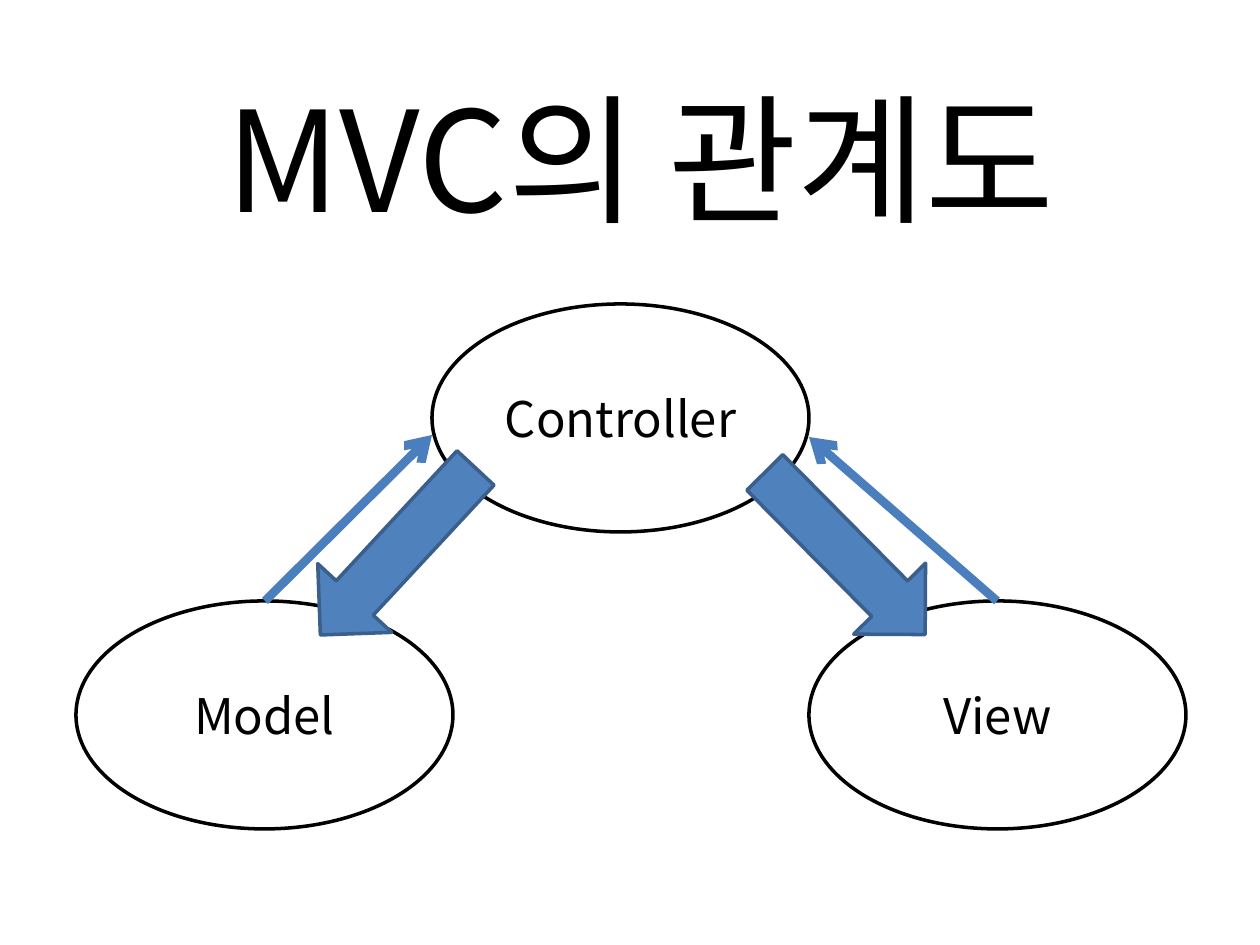
from pptx import Presentation
from pptx.dml.color import RGBColor
from pptx.enum.shapes import MSO_CONNECTOR, MSO_SHAPE
from pptx.enum.text import MSO_ANCHOR, PP_ALIGN
from pptx.oxml.ns import qn
from pptx.util import Pt
from lxml import etree

FONT = "Noto Sans CJK KR"


def px(n):
    return round(n * 914400 / 126)


def add_text(sp, text, size):
    tf = sp.text_frame
    tf.word_wrap = True
    tf.vertical_anchor = MSO_ANCHOR.MIDDLE
    p = tf.paragraphs[0]
    p.alignment = PP_ALIGN.CENTER
    r = p.add_run()
    r.text = text
    r.font.size = Pt(size)
    r.font.color.rgb = RGBColor.from_string("000000")
    r.font.name = FONT
    etree.SubElement(r.font._element, qn("a:ea"), typeface=FONT)


prs = Presentation()
prs.slide_width, prs.slide_height = px(1260), px(945)
s = prs.slides.add_slide(prs.slide_layouts[6])

# Title
title = s.shapes.add_textbox(px(105), px(55), px(1071), px(203))
add_text(title, "MVC의 관계도", 80)

# Components
for name, x, y in [("Controller", 432, 304), ("Model", 76, 601), ("View", 809, 601)]:
    sp = s.shapes.add_shape(MSO_SHAPE.OVAL, px(x), px(y), px(377), px(228))
    sp.shadow.inherit = False
    sp.fill.solid()
    sp.fill.fore_color.rgb = RGBColor.from_string("FFFFFF")
    sp.line.color.rgb = RGBColor.from_string("000000")
    sp.line.width = Pt(2)
    add_text(sp, name, 28)

# Block arrows from the controller
for x, y, angle in [(284, 501, 312.9), (731, 503, 225.3)]:
    sp = s.shapes.add_shape(MSO_SHAPE.LEFT_ARROW, px(x), px(y), px(228), px(101))
    sp.rotation = angle
    sp.shadow.inherit = False
    sp.fill.solid()
    sp.fill.fore_color.rgb = RGBColor.from_string("4F81BD")
    sp.line.color.rgb = RGBColor.from_string("3A5F8C")
    sp.line.width = Pt(2)

# Thin arrows back to the controller
for x1, y1, x2, y2 in [(265, 601, 432, 435), (997, 601, 809, 437)]:
    cn = s.shapes.add_connector(MSO_CONNECTOR.STRAIGHT, px(x1), px(y1), px(x2), px(y2))
    cn.line.color.rgb = RGBColor.from_string("4B7EBC")
    cn.line.width = Pt(5)
    etree.SubElement(cn.line._get_or_add_ln(), qn("a:tailEnd"), type="arrow")
    etree.SubElement(cn._element.spPr, qn("a:effectLst"))

prs.save("out.pptx")
